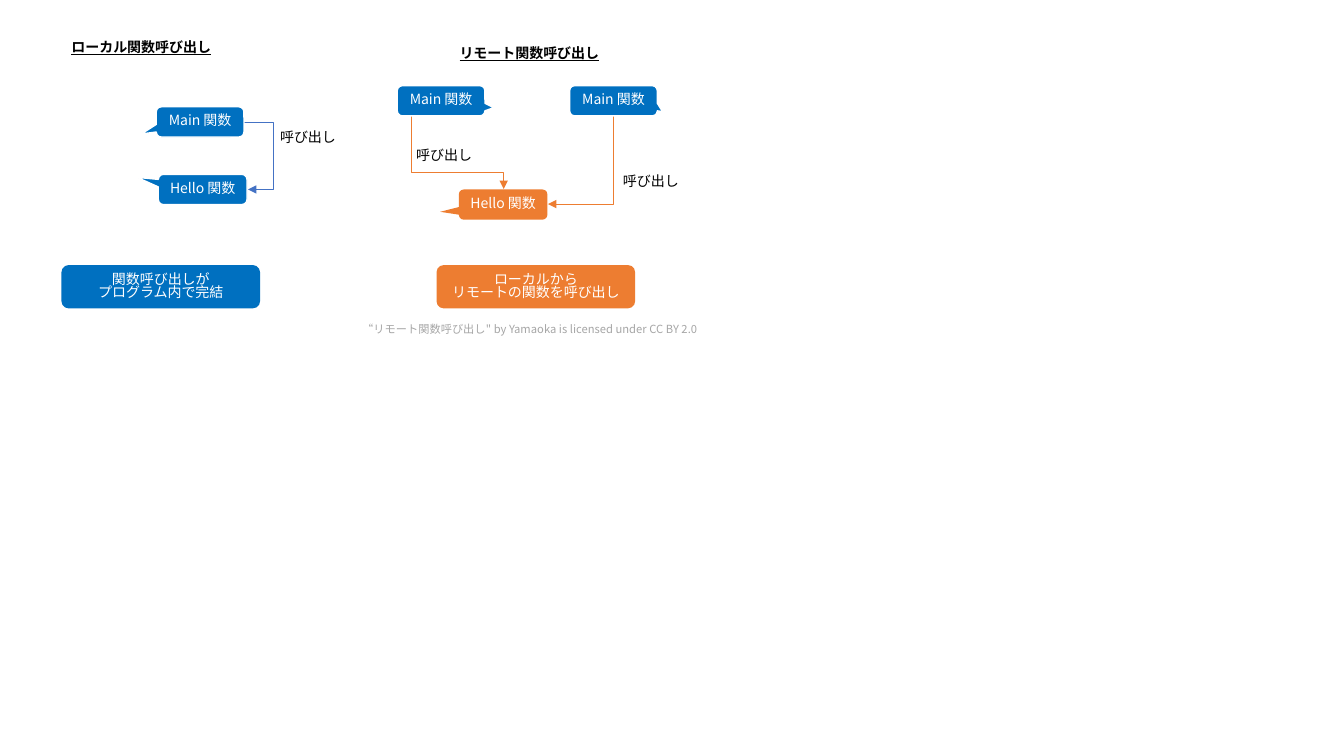
from lxml import etree
from pptx import Presentation
from pptx.dml.color import RGBColor
from pptx.enum.shapes import MSO_CONNECTOR, MSO_SHAPE
from pptx.enum.text import MSO_ANCHOR, MSO_AUTO_SIZE, PP_ALIGN
from pptx.oxml.ns import qn
from pptx.util import Pt

ELBOW = MSO_CONNECTOR.ELBOW
ROUND = MSO_SHAPE.ROUNDED_RECTANGLE
CALL = MSO_SHAPE.ROUNDED_RECTANGULAR_CALLOUT
TOP, MID = MSO_ANCHOR.TOP, MSO_ANCHOR.MIDDLE
LEFT, MIDST = PP_ALIGN.LEFT, PP_ALIGN.CENTER
FIXED = MSO_AUTO_SIZE.NONE

PX = 9144  # 100 px to the inch
FONT = "Noto Sans CJK JP"
HUE = {"blue": "0070C0", "orange": "ED7D31", "line": "4472C4",
       "white": "FFFFFF", "black": "000000", "grey": "A6A6A6"}


def rgb(name):
    return RGBColor.from_string(HUE[name])


def write(shape, text, size=10, hue="black", align=MIDST, anchor=TOP, strong=False):
    frame = shape.text_frame
    frame.text = text
    frame.auto_size = FIXED
    frame.word_wrap = False
    frame.vertical_anchor = anchor
    for para in frame.paragraphs:
        para.alignment = align
        para.line_spacing = 0.8
        for run in para.runs:
            font = run.font
            font.name, font.size = FONT, Pt(size)
            font.bold = font.underline = strong
            font.color.rgb = rgb(hue)
            etree.SubElement(run._r.rPr, qn("a:ea"), typeface=FONT)


deck = Presentation()
deck.slide_width, deck.slide_height = 1333 * PX, 750 * PX
slide = deck.slides.add_slide(deck.slide_layouts[5])
shapes = slide.shapes

# Headings
head = shapes.title
head.left, head.top, head.width, head.height = 60 * PX, 36 * PX, 160 * PX, 27 * PX
write(head, "ローカル関数呼び出し", strong=True)
head = shapes.add_textbox(445 * PX, 42 * PX, 160 * PX, 27 * PX)
write(head, "リモート関数呼び出し", strong=True)

# Call arrows: frame corners, turn, preset, bend, colour
ARROWS = [
    (242, 121, 246, 188, 0, "bentConnector3", 7.25, "line"),
    (508, 104, 416, 179, 270, "bentConnector3", 0.78, "orange"),
    (532, 126, 620, 191, 90, "bentConnector2", None, "orange"),
]
# A turned frame is given before its turn, so its sides are swapped
ARROWS[1] = (491, 104, 416, 196, *ARROWS[1][4:])
for x1, y1, x2, y2, turn, kind, bend, hue in ARROWS:
    arrow = shapes.add_connector(ELBOW, x1 * PX, y1 * PX, x2 * PX, y2 * PX)
    arrow.line.color.rgb = rgb(hue)
    arrow.line.width = Pt(0.5)
    props = arrow._element.spPr
    props.find(qn("a:xfrm")).set("rot", str(turn * 60000))
    geom = props.find(qn("a:prstGeom"))
    geom.set("prst", kind)
    if bend is not None:
        etree.SubElement(geom.find(qn("a:avLst")), qn("a:gd"),
                         name="adj1", fmla=f"val {round(bend * 100000)}")
    etree.SubElement(props.find(qn("a:ln")), qn("a:tailEnd"), type="triangle")
    etree.SubElement(props, qn("a:effectLst"))

# Function callouts and summary boxes
BOXES = [
    (CALL, 155, 106, 87, 30, "blue", "Main 関数", (-0.67, 0.4)),
    (CALL, 157, 173, 88, 30, "blue", "Hello 関数", (-0.74, -0.4)),
    (CALL, 394, 85, 87, 30, "blue", "Main 関数", (0.6, 0.23)),
    (CALL, 565, 85, 87, 30, "blue", "Main 関数", (0.56, 0.36)),
    (CALL, 455, 188, 88, 30, "orange", "Hello 関数", (-0.71, 0.24)),
    (ROUND, 61, 263, 197, 43, "blue", "関数呼び出しが\nプログラム内で完結", ()),
    (ROUND, 433, 263, 197, 43, "orange", "ローカルから\nリモートの関数を呼び出し", ()),
]
for kind, x, y, w, h, hue, text, tip in BOXES:
    box = shapes.add_shape(kind, x * PX, y * PX, w * PX, h * PX)
    box.shadow.inherit = False
    box.fill.solid()
    box.fill.fore_color.rgb = rgb(hue)
    if kind == CALL and hue == "blue":
        box.line.color.rgb = rgb("white")
        box.line.width = Pt(1)
    else:
        box.line.fill.background()
    for i, value in enumerate(tip):
        box.adjustments[i] = value
    write(box, text, hue="white", anchor=MID)

# Arrow labels
for x, y in [(268, 126), (403, 144), (608, 169)]:
    label = shapes.add_textbox(x * PX, y * PX, 76 * PX, 27 * PX)
    write(label, "呼び出し", align=LEFT)

# Credit line
credit = shapes.add_textbox(341 * PX, 317 * PX, 369 * PX, 24 * PX)
write(credit, "“リモート関数呼び出し\" by Yamaoka is licensed under CC BY 2.0", size=8, hue="grey")

deck.save("out.pptx")
